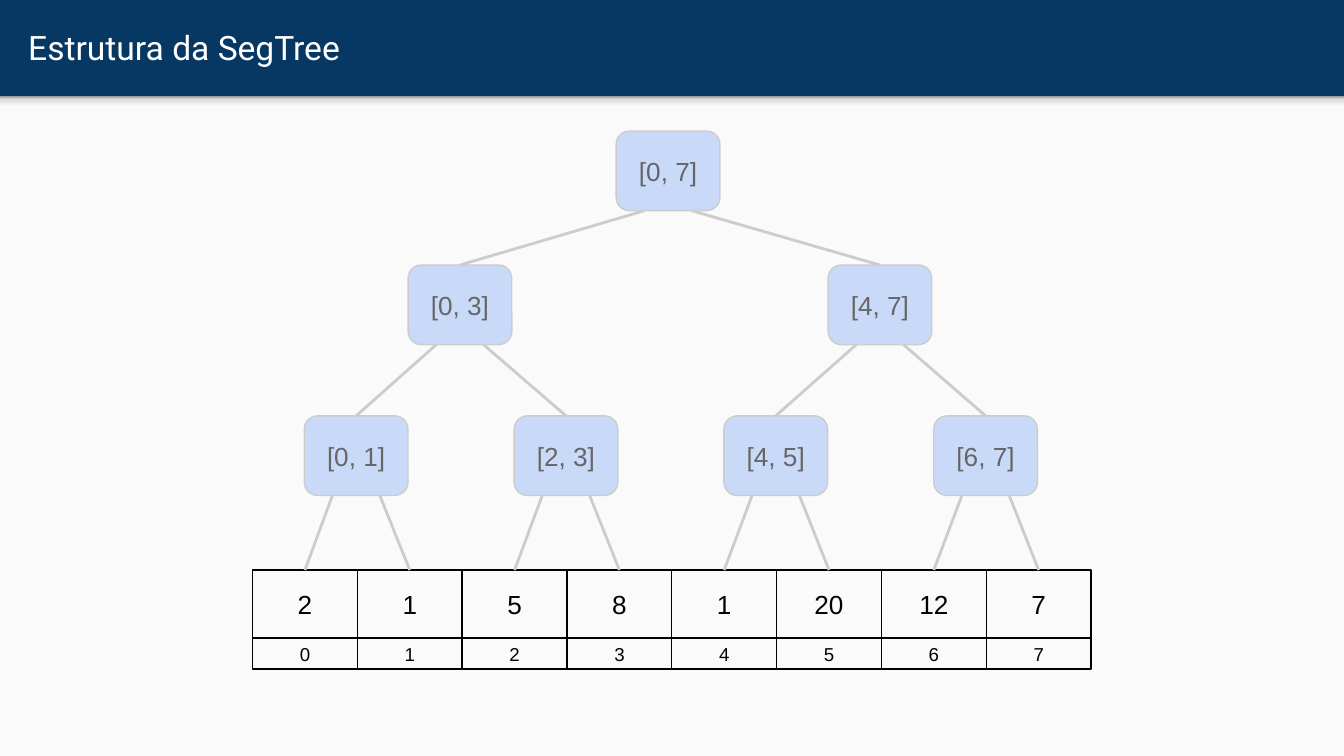
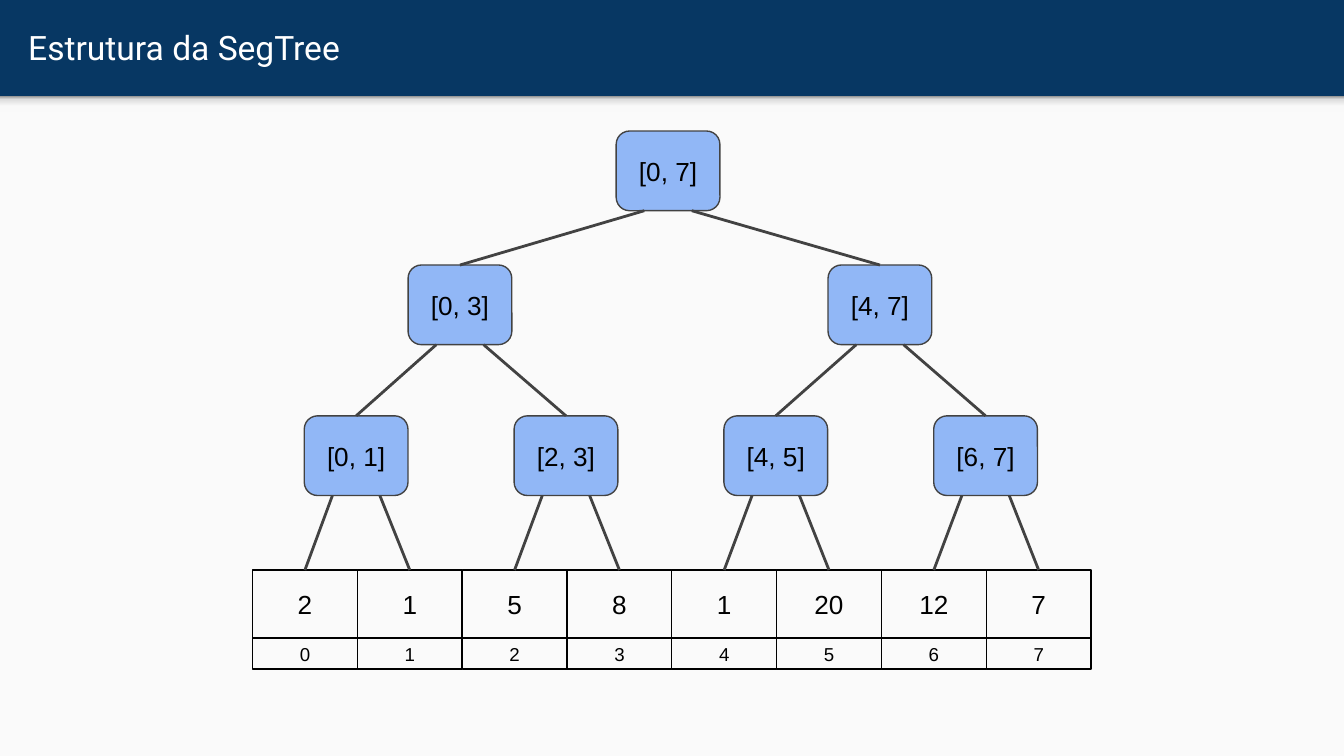
from lxml import etree
from pptx import Presentation
from pptx.dml.color import RGBColor
from pptx.enum.shapes import MSO_CONNECTOR, MSO_SHAPE
from pptx.enum.text import MSO_ANCHOR, MSO_AUTO_SIZE, PP_ALIGN
from pptx.oxml.ns import qn
from pptx.util import Pt

RECT, ROUNDED = MSO_SHAPE.RECTANGLE, MSO_SHAPE.ROUNDED_RECTANGLE
STRAIGHT = MSO_CONNECTOR.STRAIGHT
MIDDLE, NO_FIT = MSO_ANCHOR.MIDDLE, MSO_AUTO_SIZE.NONE
LEFT, CENTER = PP_ALIGN.LEFT, PP_ALIGN.CENTER

NAVY = RGBColor(0x07, 0x37, 0x63)
PAPER = RGBColor(0xFA, 0xFA, 0xFA)
WHITE = RGBColor(0xFF, 0xFF, 0xFF)
BLACK = RGBColor(0x00, 0x00, 0x00)
GREY = RGBColor(0x66, 0x66, 0x66)
SILVER = RGBColor(0xCC, 0xCC, 0xCC)
CHARCOAL = RGBColor(0x42, 0x42, 0x42)
PALE_BLUE = RGBColor(0xC9, 0xDA, 0xF8)
BLUE = RGBColor(0x42, 0x85, 0xF4)
SHADE_STOPS = [
    (0, RGBColor(0xF9, 0xF9, 0xF9)),
    (36, RGBColor(0xF9, 0xF9, 0xF9)),
    (80, RGBColor(0xDE, 0xDE, 0xDE)),
    (100, RGBColor(0x99, 0x99, 0x99)),
]

SLIDE_W, SLIDE_H, BAND_H, SHADE_H = 720, 405, 51.6, 8.6
TITLE = "Estrutura da SegTree"
VALUES = [2, 1, 5, 8, 1, 20, 12, 7]
CELL_LEFT, CELL_W = 135.3, 56.15
VALUE_TOP, VALUE_H, INDEX_H = 305.4, 36.5, 16.6
NODE_W, NODE_H, BRANCH_DX = 55.6, 42.7, 12.7
LEVELS = [
    (70.2, 357.9, 0),
    (142, 246.4, 225),
    (222.8, 190.8, 112.4),
]
LEAVES = (VALUE_TOP, CELL_LEFT + CELL_W / 2, CELL_W)

FADED = {"fill": PALE_BLUE, "line": SILVER, "color": GREY}
ACTIVE = {"fill": BLUE, "alpha": 57, "line": CHARCOAL, "color": BLACK}
CELL = {"line": BLACK, "color": BLACK}


def add_text(tf, text, size, color, font="Arial", align=CENTER):
    frame = {"word_wrap": True, "auto_size": NO_FIT, "vertical_anchor": MIDDLE}
    for side in ("left", "right", "top", "bottom"):
        frame["margin_" + side] = Pt(7.2)
    for name, value in frame.items():
        setattr(tf, name, value)
    p = tf.paragraphs[0]
    p.alignment = align
    r = p.add_run()
    r.text = text
    for name, value in {"name": font, "size": Pt(size), "bold": False}.items():
        setattr(r.font, name, value)
    r.font.color.rgb = color


def add_box(slide, kind, x, y, w, h, fill=None, alpha=None, line=None):
    sp = slide.shapes.add_shape(kind, Pt(x), Pt(y), Pt(w), Pt(h))
    sp.shadow.inherit = False
    if fill is None:
        sp.fill.background()
    else:
        sp.fill.solid()
        sp.fill.fore_color.rgb = fill
    if alpha is not None:
        clr = sp.element.spPr.find(qn("a:solidFill")).find(qn("a:srgbClr"))
        etree.SubElement(clr, qn("a:alpha"), val=str(alpha * 1000))
    if line is None:
        sp.line.fill.background()
    else:
        sp.line.color.rgb = line
        sp.line.width = Pt(0.75)
    return sp


def add_label_box(slide, kind, x, y, w, h, text, size, style):
    box = {k: v for k, v in style.items() if k != "color"}
    sp = add_box(slide, kind, x, y, w, h, **box)
    add_text(sp.text_frame, text, size, style["color"])


def add_branch(slide, x1, y1, x2, y2, color):
    cx = slide.shapes.add_connector(STRAIGHT, Pt(x1), Pt(y1), Pt(x2), Pt(y2))
    cx.line.color.rgb = color
    cx.line.width = Pt(1.5)
    etree.SubElement(cx.element.spPr, qn("a:effectLst"))


def shade(sp):
    sp.fill.gradient()
    sp.fill.gradient_angle = 90
    stops = sp.element.spPr.find(qn("a:gradFill")).find(qn("a:gsLst"))
    for gs in list(stops):
        stops.remove(gs)
    for pos, color in SHADE_STOPS:
        gs = etree.SubElement(stops, qn("a:gs"), pos=str(pos * 1000))
        etree.SubElement(gs, qn("a:srgbClr"), val=str(color))


def build_layout(layout, slide):
    layout.background.fill.solid()
    layout.background.fill.fore_color.rgb = NAVY
    for ph in list(layout.placeholders)[1:]:
        ph.element.getparent().remove(ph.element)
    paper = add_box(slide, RECT, 0, BAND_H, SLIDE_W, SLIDE_H - BAND_H, PAPER)
    shadow = add_box(slide, RECT, 0, BAND_H, SLIDE_W, SHADE_H)
    shade(shadow)
    for sp in (paper, shadow):
        layout.element.cSld.spTree.append(sp.element)


def add_title(slide):
    sp = slide.shapes.title
    place = {"left": 7.9, "top": 1.4, "width": 695, "height": 47.5}
    for name, value in place.items():
        setattr(sp, name, Pt(value))
    add_text(sp.text_frame, TITLE, 18, WHITE, "Roboto", LEFT)


def add_cells(slide, values, y, h, size):
    for i, value in enumerate(values):
        x = CELL_LEFT + i * CELL_W
        add_label_box(slide, RECT, x, y, CELL_W, h, str(value), size, CELL)


def add_nodes(slide, style):
    for depth, (top, first, pitch) in enumerate(LEVELS):
        span = len(VALUES) >> depth
        for i in range(2 ** depth):
            x = first + i * pitch - NODE_W / 2
            text = f"[{i * span}, {(i + 1) * span - 1}]"
            add_label_box(slide, ROUNDED, x, top, NODE_W, NODE_H, text, 14, style)


def add_branches(slide, color):
    for depth, (parent, child) in enumerate(zip(LEVELS, LEVELS[1:] + [LEAVES])):
        top, first, pitch = parent
        child_top, child_first, child_pitch = child
        for i in range(2 ** (depth + 1)):
            side = BRANCH_DX if i % 2 else -BRANCH_DX
            x = first + i // 2 * pitch + side
            add_branch(slide, x, top + NODE_H,
                       child_first + i * child_pitch, child_top, color)


def add_tree(slide, style):
    add_title(slide)
    add_cells(slide, VALUES, VALUE_TOP, VALUE_H, 14)
    add_nodes(slide, style)
    add_cells(slide, range(len(VALUES)), VALUE_TOP + VALUE_H, INDEX_H, 10)
    add_branches(slide, style["line"])


def main():
    prs = Presentation()
    prs.slide_width, prs.slide_height = Pt(SLIDE_W), Pt(SLIDE_H)
    layout = prs.slide_layouts[5]
    slides = [prs.slides.add_slide(layout) for _ in range(2)]
    build_layout(layout, slides[0])
    for slide, style in zip(slides, (FADED, ACTIVE)):
        add_tree(slide, style)
    prs.save("out.pptx")


if __name__ == "__main__":
    main()
